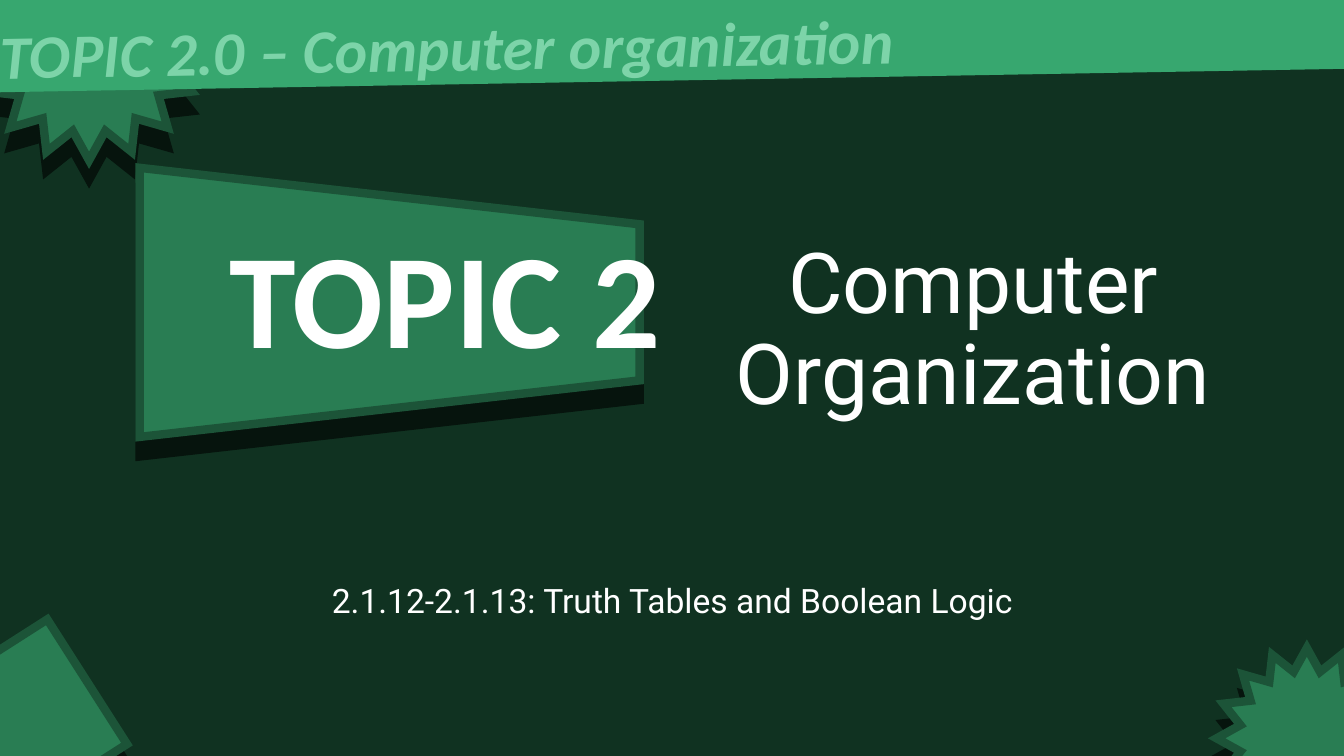
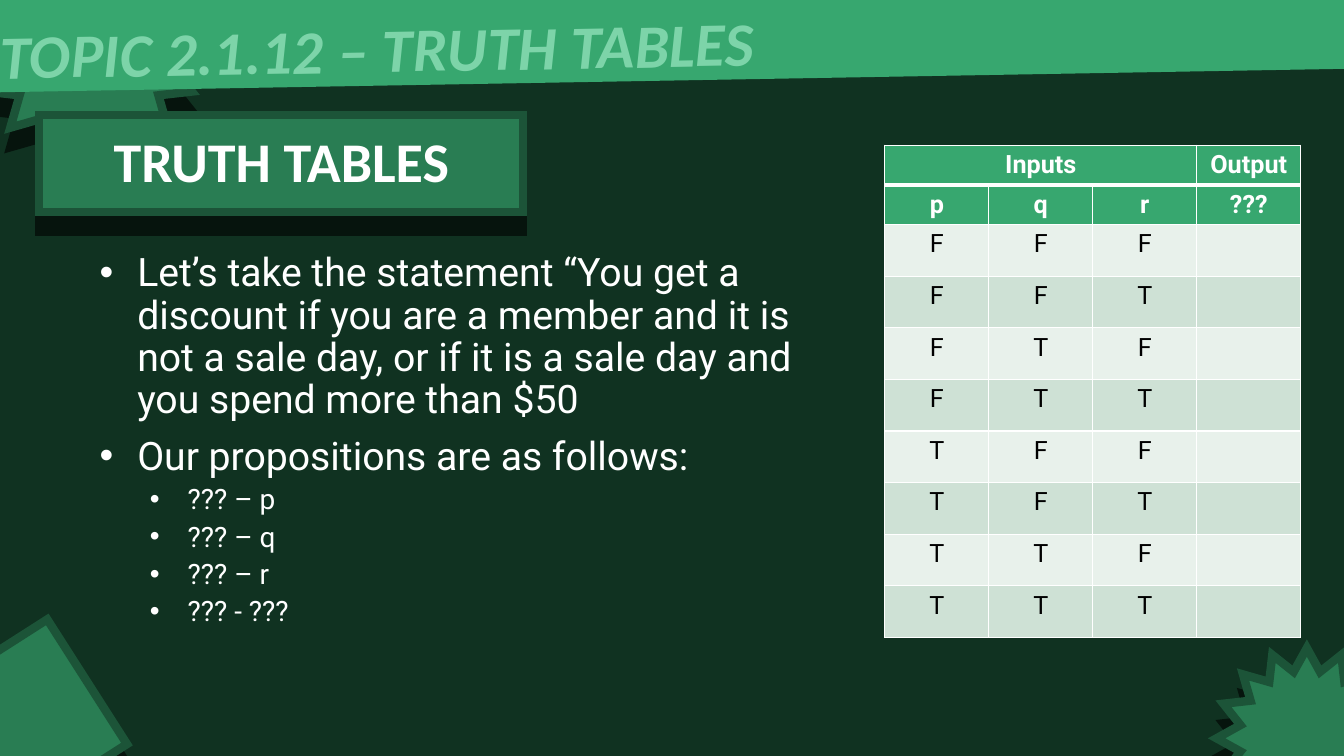
from dataclasses import dataclass
from itertools import product
from typing import Any, NamedTuple

from lxml.etree import SubElement as Sub
from pptx import Presentation
from pptx.dml.color import RGBColor as Rgb
from pptx.enum.shapes import MSO_SHAPE as Form
from pptx.enum.text import MSO_ANCHOR as Anchor, MSO_AUTO_SIZE as Auto, PP_ALIGN as Align
from pptx.oxml import parse_xml
from pptx.oxml.ns import nsdecls, qn
from pptx.util import Cm, Pt

# Colours and fonts
NIGHT, GREEN, EDGE, SHADE = "103221", "297D53", "1C5438", "06140D"
BAND, MINT, WHITE, BLACK = "37A76F", "7DD4A9", "FFFFFF", "000000"
PALE, SAGE = "E8F1EB", "CEE1D5"
HEAD, BODY = "Calibri", "Roboto"


class Box(NamedTuple):
    left: float
    top: float
    width: float
    height: float

    def lengths(self) -> list[Cm]:
        return [Cm(v) for v in self]


@dataclass(frozen=True)
class Block:
    """A green shape with a thick edge and a drop shadow."""
    form: Form
    box: Box
    turn: float = 0
    inset: float | None = None


@dataclass(frozen=True)
class Type:
    size: float
    face: str = BODY
    hue: str = WHITE
    bold: bool = False
    slant: bool = False


@dataclass(frozen=True)
class Line:
    """A line of text; a hang above zero gives it a bullet."""
    text: str
    type: Type
    align: Align = Align.LEFT
    space: float = 1.0
    gap: float = 0
    margin: float = 0
    hang: float = 0
    level: int = 0


DECOR = (
    Block(Form.STAR_16_POINT, Box(-0.56, -1.57, 5.61, 5.61)),
    Block(Form.RECTANGLE, Box(-1.45, 16.38, 3.96, 3.73), 327.4),
    Block(Form.STAR_16_POINT, Box(30.66, 16.33, 4.55, 4.55)),
)
BAND_BOX = Box(-0.56, -1.73, 35.2, 3.76)
BAND_TEXT = Box(-0.25, -0.03, 40.31, 2.13)
BAND_TYPE = Type(44, HEAD, MINT, True, True)


def apply(thing: Any, values: dict[str, Any]) -> None:
    for name, value in values.items():
        setattr(thing, name, value)


def paint(fill: Any, hue: str) -> None:
    fill.solid()
    fill.fore_color.rgb = Rgb.from_string(hue)


def place(shape: Any, box: Box) -> None:
    apply(shape, dict(zip(("left", "top", "width", "height"), box.lengths())))


def draw(slide: Any, block: Block) -> None:
    shape = slide.shapes.add_shape(block.form, *block.box.lengths())
    shape.rotation = block.turn
    if block.inset is not None:
        shape.adjustments[0] = block.inset
    paint(shape.fill, GREEN)
    paint(shape.line.fill, EDGE)
    shape.line.width = Pt(6)
    Sub(shape.line.fill._xPr, qn("a:miter"), lim="800000")
    # Solid shadow straight below
    shape.shadow.inherit = False
    effects = shape.element.spPr.find(qn("a:effectLst"))
    drop = Sub(effects, qn("a:outerShdw"), blurRad="0", dist=str(Pt(14)),
               dir="5400000", algn="t", rotWithShape="0")
    Sub(drop, qn("a:srgbClr"), val=SHADE)


def write(frame: Any, lines: list[Line], anchor: Anchor = Anchor.TOP) -> None:
    apply(frame, {"word_wrap": True, "auto_size": Auto.NONE, "vertical_anchor": anchor})
    for i, line in enumerate(lines):
        para = frame.add_paragraph() if i else frame.paragraphs[0]
        apply(para, {"alignment": line.align, "line_spacing": line.space,
                     "space_before": Pt(line.gap if i else 0), "level": line.level})
        if line.hang:
            props = para._p.get_or_add_pPr()
            props.set("marL", str(Cm(line.margin)))
            props.set("indent", str(-Cm(line.hang)))
            Sub(props, qn("a:buFont"), typeface="Arial")
            Sub(props, qn("a:buChar"), char="•")
        run = para.add_run()
        run.text = line.text
        look = line.type
        apply(run.font, {"name": look.face, "size": Pt(look.size),
                         "bold": look.bold, "italic": look.slant})
        run.font.color.rgb = Rgb.from_string(look.hue)


def add_text(slide: Any, box: Box, lines: list[Line], turn: float = 0) -> None:
    shape = slide.shapes.add_textbox(*box.lengths())
    shape.rotation = turn
    write(shape.text_frame, lines)


def fill_holder(slide: Any, holder: Any, box: Box, line: Line,
                anchor: Anchor = Anchor.TOP) -> None:
    """Move a placeholder to the front and give it its text."""
    place(holder, box)
    slide.shapes.element.append(holder.element)
    write(holder.text_frame, [line], anchor)


def add_slide(deck: Any, layout: int, topic: str) -> Any:
    """Start a slide with the corner shapes and the slanted band."""
    slide = deck.slides.add_slide(deck.slide_layouts[layout])
    for block in DECOR:
        draw(slide, block)
    band = slide.shapes.add_shape(Form.RECTANGLE, *BAND_BOX.lengths())
    band.rotation = 359
    band.shadow.inherit = False
    paint(band.fill, BAND)
    band.line.fill.background()
    add_text(slide, BAND_TEXT, [Line(topic, BAND_TYPE)], 359)
    return slide


def rule(cell: Any, top: float, base: float) -> None:
    """Draw white borders round a cell."""
    props = cell._tc.get_or_add_tcPr()
    sides = {"lnL": 1, "lnR": 1, "lnT": top, "lnB": base}
    for i, (side, width) in enumerate(sides.items()):
        props.insert(i, parse_xml(
            f'<a:{side} {nsdecls("a")} w="{Pt(width)}"><a:solidFill>'
            f'<a:srgbClr val="{WHITE}"/></a:solidFill></a:{side}>'))


def add_truth(slide: Any) -> None:
    """Add the table of all input values."""
    rows = [("Inputs", "", "", "Output"), ("p", "q", "r", "???")]
    rows += [(*mix, "") for mix in product("FT", repeat=3)]
    tall = [0.86] * 2 + [1.3] * 8
    box = Box(22.3, 3.66, 4 * 2.62, sum(tall))
    table = slide.shapes.add_table(len(rows), 4, *box.lengths()).table
    for col in table.columns:
        col.width = Cm(2.62)
    for r, row in enumerate(rows):
        table.rows[r].height = Cm(tall[r])
        head = r < 2
        look = Type(18, hue=WHITE if head else BLACK, bold=head)
        for c, text in enumerate(row):
            cell = table.cell(r, c)
            paint(cell.fill, BAND if head else (PALE, SAGE)[r % 2])
            rule(cell, 3 if r == 1 else 1, 3 if r == 0 else 1)
            if text:
                write_cell(cell, text, look)
    table.cell(0, 0).merge(table.cell(0, 2))


def write_cell(cell: Any, text: str, look: Type) -> None:
    para = cell.text_frame.paragraphs[0]
    para.alignment = Align.CENTER
    run = para.add_run()
    run.text = text
    apply(run.font, {"name": look.face, "size": Pt(look.size), "bold": look.bold})
    run.font.color.rgb = Rgb.from_string(look.hue)


def add_cover(deck: Any) -> None:
    slide = add_slide(deck, 0, "TOPIC 2.0 – Computer organization")
    fill_holder(slide, slide.shapes.title, Box(16.46, 2.92, 16.13, 7.85),
                Line("Computer Organization", Type(60), Align.CENTER, 0.9), Anchor.BOTTOM)
    fill_holder(slide, slide.placeholders[1], Box(4.24, 14.6, 25.4, 1.98),
                Line("2.1.12-2.1.13: Truth Tables and Boolean Logic", Type(24),
                     Align.CENTER, 0.9))
    draw(slide, Block(Form.TRAPEZOID, Box(6.43, 1.32, 6.78, 12.6), 90, 0.21))
    add_text(slide, Box(2.21, 5.26, 18.03, 4.37),
             [Line("TOPIC 2", Type(96, HEAD, bold=True), Align.CENTER)])


def add_lesson(deck: Any) -> None:
    slide = add_slide(deck, 5, "TOPIC 2.1.12 – TRUTH TABLES")
    draw(slide, Block(Form.RECTANGLE, Box(0.99, 2.9, 12.19, 2.44)))
    fill_holder(slide, slide.shapes.title, Box(1.12, 3.05, 11.94, 1.96),
                Line("TRUTH TABLES", Type(40, HEAD, bold=True), Align.CENTER))
    # Statement and its parts
    points = ("Let’s take the statement “You get a discount if you are a member and it is "
              "not a sale day, or if it is a sale day and you spend more than $50",
              "Our propositions are as follows:")
    parts = ("??? – p", "??? – q", "??? – r", "??? - ???")
    lines = [Line(t, Type(28), space=0.9, gap=10, margin=0.95, hang=0.95) for t in points]
    lines += [Line(t, Type(20), space=0.9, gap=5, margin=2.22, hang=0.95, level=1)
              for t in parts]
    add_text(slide, Box(2.26, 6.25, 19.35, 11.99), lines)
    add_truth(slide)


def main() -> None:
    deck = Presentation()
    apply(deck, {"slide_width": Cm(33.87), "slide_height": Cm(19.05)})
    paint(deck.slide_master.background.fill, NIGHT)
    add_cover(deck)
    add_lesson(deck)
    deck.save("out.pptx")


if __name__ == "__main__":
    main()
